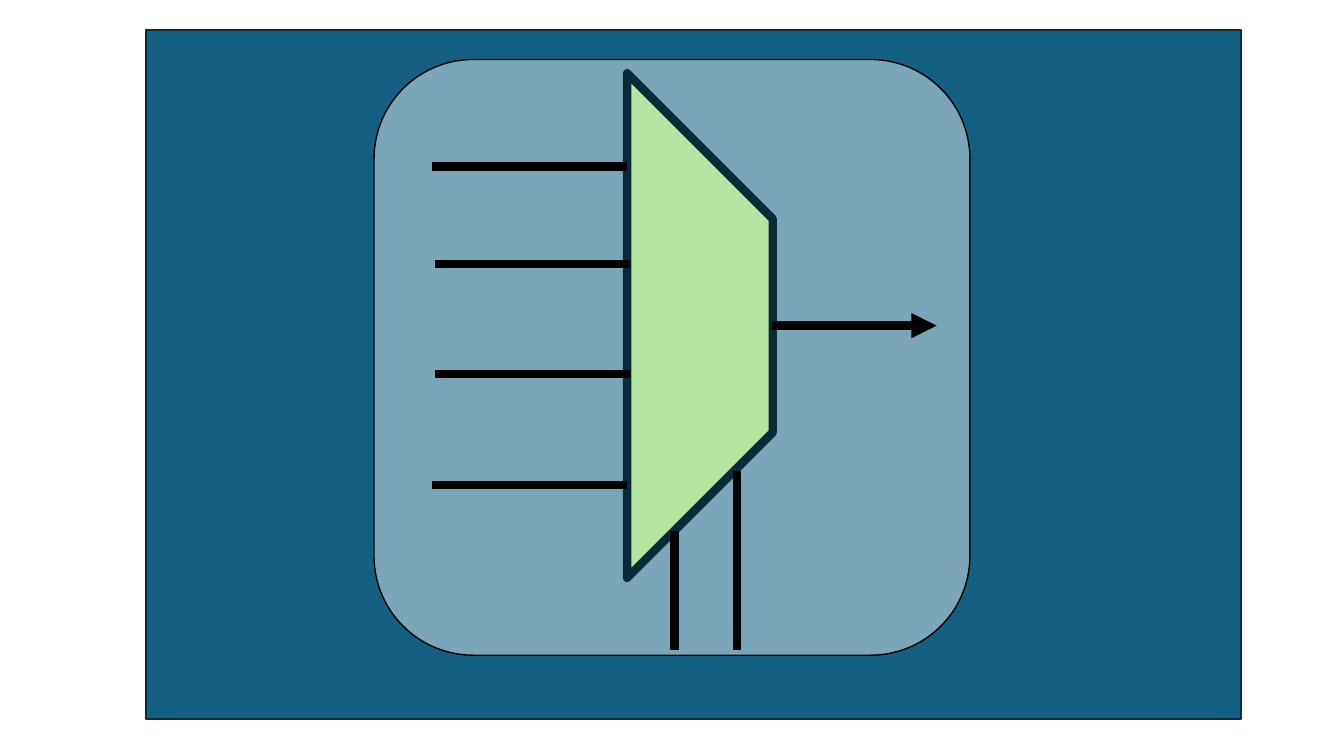
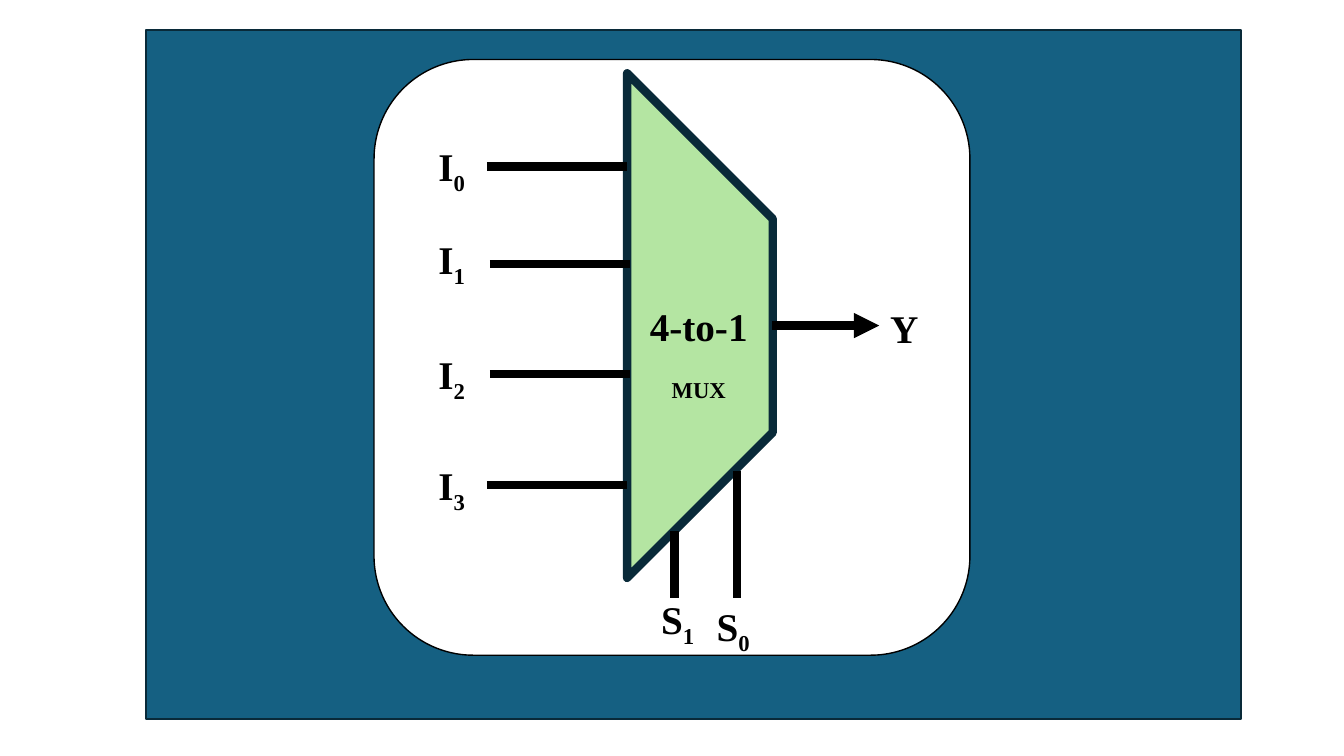
from lxml import etree
from pptx import Presentation
from pptx.dml.color import RGBColor
from pptx.enum.shapes import MSO_CONNECTOR, MSO_SHAPE
from pptx.enum.text import MSO_AUTO_SIZE, PP_ALIGN
from pptx.oxml.ns import qn
from pptx.util import Inches, Pt

RECTANGLE = MSO_SHAPE.RECTANGLE
ROUNDED = MSO_SHAPE.ROUNDED_RECTANGLE
STRIPE = MSO_SHAPE.DIAGONAL_STRIPE
STRAIGHT = MSO_CONNECTOR.STRAIGHT
GROW = MSO_AUTO_SIZE.SHAPE_TO_FIT_TEXT
LEFT, CENTER = PP_ALIGN.LEFT, PP_ALIGN.CENTER

BLUE, NAVY, GREEN = "156082", "092A39", "B4E5A2"
BLACK, WHITE = "000000", "FFFFFF"
FONT, TEXT_SIZE, WIRE_WIDTH = "Times New Roman", 28, 6

INPUT_WIRES = [(6.22, 1.65), (6.25, 2.62), (6.25, 3.71), (6.22, 4.81)]
SELECT_WIRES = [(6.69, 5.27), (7.31, 4.67)]
OUTPUT_START = (7.66, 3.23)
LABELS = [
    ("I", "0", 4.25, 1.36),
    ("I", "1", 4.25, 2.29),
    ("I", "2", 4.25, 3.43),
    ("I", "3", 4.25, 4.53),
    ("S", "1", 6.46, 5.86),
    ("S", "0", 7.01, 5.93),
    ("Y", "", 8.73, 2.97),
]


def color(value):
    return RGBColor.from_string(value)


def add_block(page, kind, place, fill, line, width, opacity=100):
    block = page.shapes.add_shape(kind, *map(Inches, place))
    block.shadow.inherit = False
    block.fill.solid()
    block.fill.fore_color.rgb = color(fill)
    block.line.color.rgb = color(line)
    block.line.width = Pt(width)
    if opacity < 100:
        tint = block.fill._xPr.find(qn("a:solidFill"))[0]
        etree.SubElement(tint, qn("a:alpha")).set("val", str(opacity * 1000))
    return block


def add_wire(page, start, end, arrow=False):
    wire = page.shapes.add_connector(STRAIGHT, *map(Inches, start + end))
    wire.line.color.rgb = color(BLACK)
    wire.line.width = Pt(WIRE_WIDTH)
    if arrow:
        etree.SubElement(wire.line._get_or_add_ln(), qn("a:tailEnd")).set("type", "triangle")
    etree.SubElement(wire._element.spPr, qn("a:effectLst"))


def add_span(para, text, lowered=False):
    span = para.add_run()
    span.text = text
    span.font.name = FONT
    span.font.size = Pt(TEXT_SIZE)
    span.font.bold = True
    span.font.color.rgb = color(BLACK)
    if lowered:
        span._r.get_or_add_rPr().set("baseline", "-25000")


def add_text(page, place, lines, align=LEFT):
    box = page.shapes.add_textbox(*map(Inches, place))
    frame = box.text_frame
    frame.word_wrap = True
    frame.auto_size = GROW
    for index, spans in enumerate(lines):
        para = frame.add_paragraph() if index else frame.paragraphs[0]
        para.alignment = align
        for text, lowered in spans:
            add_span(para, text, lowered)


def add_multiplexer(page, input_length, select_end, output_end, opacity=100):
    add_block(page, RECTANGLE, (1.45, 0.3, 10.86, 6.83), BLUE, NAVY, 1.5)
    add_block(page, ROUNDED, (3.71, 0.59, 5.91, 5.91), WHITE, BLACK, 1, opacity)
    body = add_block(page, STRIPE, (4.45, 1.46, 3.54, 3.54), GREEN, NAVY, WIRE_WIDTH)
    body.adjustments[0] = 0.423
    body.rotation = 135
    for x, y in INPUT_WIRES:
        add_wire(page, (x - input_length, y), (x, y))
    for x, y in SELECT_WIRES:
        add_wire(page, (x, y), (x, select_end))
    add_wire(page, OUTPUT_START, (output_end, OUTPUT_START[1]), arrow=True)


def add_labels(page):
    for letter, index, left, top in LABELS:
        spans = [(letter, False)]
        if index:
            spans.append((index, True))
        add_text(page, (left, top, 0.6, 0.57), [spans])
    title = [[("4-to-1", False)], [("MUX", True)]]
    add_text(page, (6.33, 2.95, 1.2, 0.89), title, CENTER)


def main():
    deck = Presentation()
    deck.slide_width, deck.slide_height = Inches(13.33), Inches(7.5)
    blank = deck.slide_layouts[6]
    plain = deck.slides.add_slide(blank)
    add_multiplexer(plain, 1.94, 6.45, 9.29, opacity=44)
    labelled = deck.slides.add_slide(blank)
    add_multiplexer(labelled, 1.39, 5.93, 8.72)
    add_labels(labelled)
    deck.save("out.pptx")


if __name__ == "__main__":
    main()
